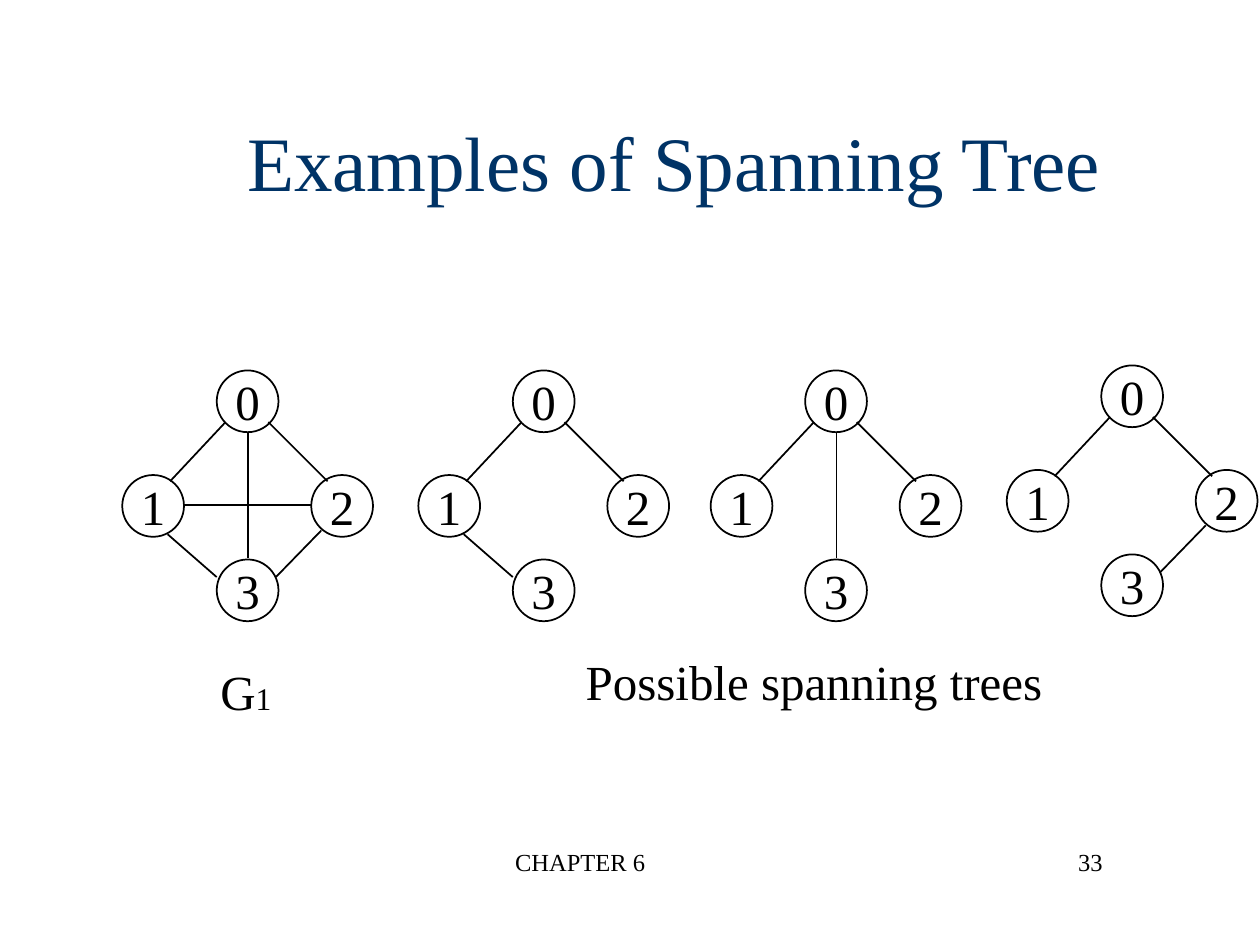
from pptx import Presentation
from pptx.dml.color import RGBColor
from pptx.enum.shapes import MSO_CONNECTOR, MSO_SHAPE
from pptx.enum.text import MSO_ANCHOR, MSO_AUTO_SIZE, PP_ALIGN
from pptx.oxml.ns import qn
from pptx.util import Inches, Pt
from lxml.etree import SubElement

# Content
TITLE = "Examples of Spanning Tree"
# Each graph: left and top corner, edges
GRAPHS = [
    (0.97, 2.94, ["0-3", "1-2", "0-1", "0-2", "1-3", "2-3"]),
    (3.32, 2.94, ["0-1", "0-2", "1-3"]),
    (5.64, 2.94, ["0-3", "0-1", "0-2"]),
    (7.99, 2.9, ["0-1", "0-2", "2-3"]),
]
# Each label: box, runs with sizes, alignment, wrap
LABELS = [
    ((3.02, 6.67, 3.17, 0.5), [("CHAPTER 6", 14)], PP_ALIGN.CENTER, True),
    ((6.77, 6.67, 2.08, 0.5), [("33", 14)], PP_ALIGN.RIGHT, True),
    ((1.65, 5.2, 0.61, 0.57), [("G", 28), ("1", 18)], PP_ALIGN.LEFT, False),
    ((4.55, 5.12, 3.83, 0.57), [("Possible spanning trees", 28)], PP_ALIGN.LEFT, False),
]

# Geometry within one graph, relative to its corner
NODE_SIZE = 0.49
NODES = {"0": (0.75, 0), "1": (0, 0.83), "2": (1.5, 0.83), "3": (0.75, 1.5)}
EDGES = {
    "0-3": (1, 0.49, 1, 1.49),
    "1-2": (0.5, 1.07, 1.5, 1.07),
    "0-1": (0.82, 0.41, 0.38, 0.88),
    "0-2": (1.16, 0.41, 1.63, 0.88),
    "1-3": (0.36, 1.3, 0.75, 1.64),
    "2-3": (1.58, 1.27, 1.22, 1.64),
}

FONT = "Times New Roman"
BLACK = RGBColor(0x00, 0x00, 0x00)
WHITE = RGBColor(0xFF, 0xFF, 0xFF)
NAVY = RGBColor(0x00, 0x33, 0x66)


def format_font(font, size, color=BLACK):
    font.name = FONT
    font.size = Pt(size)
    font.color.rgb = color


def add_title(slide):
    title = slide.shapes.title
    title.left, title.top = Inches(0.7), Inches(0.65)
    title.width, title.height = Inches(9.3), Inches(1.25)
    frame = title.text_frame
    frame.text = TITLE
    frame.vertical_anchor = MSO_ANCHOR.MIDDLE
    paragraph = frame.paragraphs[0]
    paragraph.alignment = PP_ALIGN.CENTER
    format_font(paragraph.runs[0].font, 44, NAVY)


def add_label(slide, box, runs, alignment, wrap):
    frame = slide.shapes.add_textbox(*map(Inches, box)).text_frame
    frame.word_wrap = wrap
    if not wrap:
        frame.auto_size = MSO_AUTO_SIZE.SHAPE_TO_FIT_TEXT
    paragraph = frame.paragraphs[0]
    paragraph.alignment = alignment
    for text, size in runs:
        run = paragraph.add_run()
        run.text = text
        format_font(run.font, size)


def add_node(slide, name, left, top):
    node = slide.shapes.add_shape(
        MSO_SHAPE.OVAL, Inches(left), Inches(top), Inches(NODE_SIZE), Inches(NODE_SIZE))
    node.shadow.inherit = False
    node.fill.solid()
    node.fill.fore_color.rgb = WHITE
    node.line.color.rgb = BLACK
    node.line.width = Pt(1)
    frame = node.text_frame
    frame.text = name
    frame.word_wrap = False
    frame.vertical_anchor = MSO_ANCHOR.MIDDLE
    paragraph = frame.paragraphs[0]
    paragraph.alignment = PP_ALIGN.CENTER
    format_font(paragraph.runs[0].font, 28)


def add_edge(slide, *ends):
    edge = slide.shapes.add_connector(MSO_CONNECTOR.STRAIGHT, *map(Inches, ends))
    edge.line.color.rgb = BLACK
    edge.line.width = Pt(1)
    SubElement(edge._element.spPr, qn("a:effectLst"))


def add_graph(slide, left, top, edges):
    for name, (x, y) in NODES.items():
        add_node(slide, name, left + x, top + y)
    for edge in edges:
        x1, y1, x2, y2 = EDGES[edge]
        add_edge(slide, left + x1, top + y1, left + x2, top + y2)


def main():
    presentation = Presentation()
    presentation.slide_width, presentation.slide_height = Inches(10), Inches(7.5)
    slide = presentation.slides.add_slide(presentation.slide_layouts[5])
    add_title(slide)
    for graph in GRAPHS:
        add_graph(slide, *graph)
    for label in LABELS:
        add_label(slide, *label)
    presentation.save("out.pptx")


if __name__ == "__main__":
    main()
